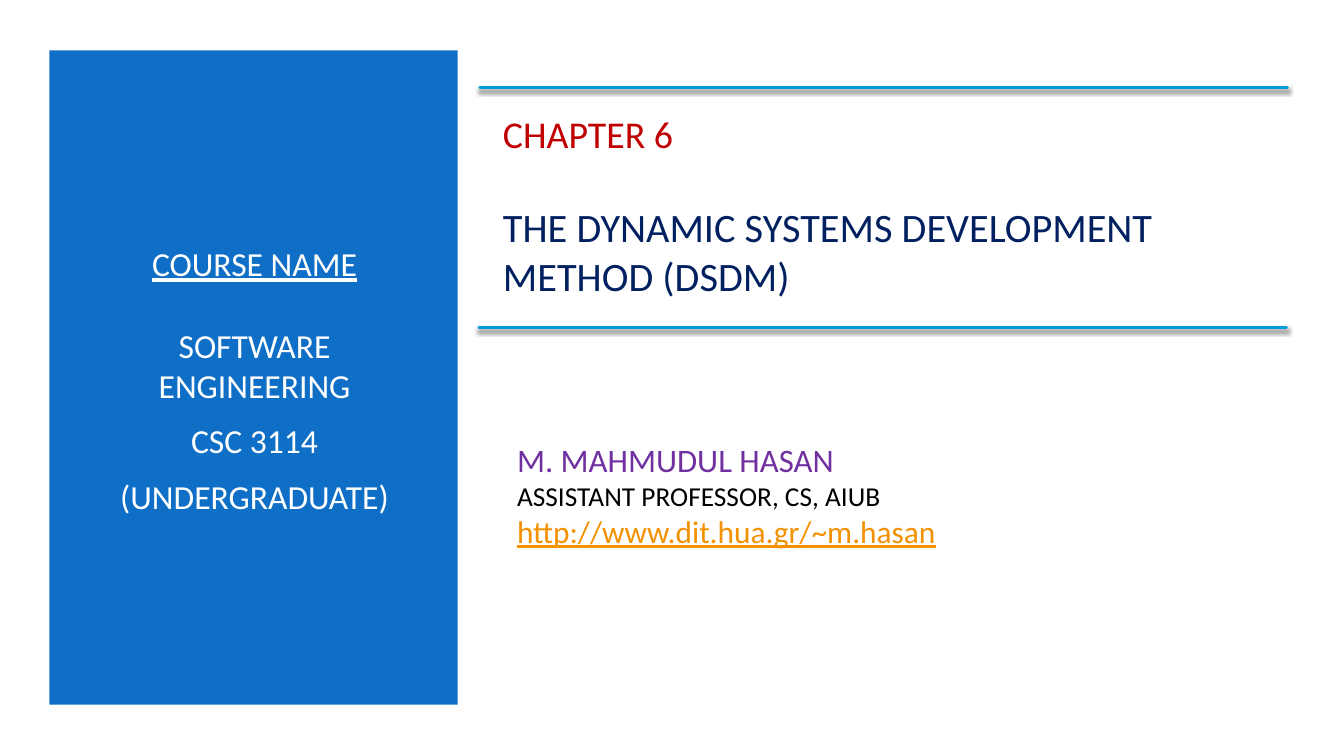
from lxml import etree
from pptx import Presentation
from pptx.dml.color import RGBColor
from pptx.enum.shapes import MSO_CONNECTOR as CONN, MSO_SHAPE as SHAPE
from pptx.enum.text import MSO_ANCHOR as ANCHOR, PP_ALIGN as ALIGN
from pptx.oxml.ns import qn
from pptx.util import Inches, Pt

COLORS = {
    "panel": "0F6FC6", "white": "FFFFFF", "red": "C00000", "navy": "002060",
    "purple": "7030A0", "black": "000000", "orange": "F49100", "rule": "009DD9",
}
FONT = "Calibri"
PANEL = (0.49, 0.5, 4.05, 6.49)
RULES = [(4.76, 0.87), (4.75, 3.25)]
RULE_LENGTH = 8.01

# text, size, color, underline, space before, space after
COURSE = [
    ("COURSE NAME", 24, "white", True, 0, 0),
    ("SOFTWARE ENGINEERING", 24, "white", False, 29.3, 6),
    ("CSC 3114", 24, "white", False, 4.8, 6),
    ("(UNDERGRADUATE)", 24, "white", False, 4.8, 6),
]
CHAPTER = [
    ("CHAPTER 6", 27, "red", False, 0, 0),
    ("THE DYNAMIC SYSTEMS DEVELOPMENT METHOD (DSDM)", 28.8, "navy", False, 33, 0),
]
AUTHOR = [
    ("M. MAHMUDUL HASAN", 23.4, "purple", False, 0, 0),
    ("ASSISTANT PROFESSOR, CS, AIUB", 19.5, "black", False, 0, 0),
    ("http://www.dit.hua.gr/~m.hasan", 22.4, "orange", True, 0, 0),
]
BOXES = [
    ((0.84, 1.14, 3.37, 5.25), ALIGN.CENTER, COURSE),
    ((4.89, 1.1, 7.85, 1.87), ALIGN.LEFT, CHAPTER),
    ((5.03, 4.13, 6.66, 1.56), ALIGN.LEFT, AUTHOR),
]


def rgb(name):
    return RGBColor.from_string(COLORS[name])


def add_text(s, box, align, lines):
    tf = s.shapes.add_textbox(*map(Inches, box)).text_frame
    tf.word_wrap = True
    tf.vertical_anchor = ANCHOR.MIDDLE
    for i, (text, size, color, underline, before, after) in enumerate(lines):
        p = tf.add_paragraph() if i else tf.paragraphs[0]
        p.text = text
        p.alignment = align
        p.space_before, p.space_after = Pt(before), Pt(after)
        font = p.runs[0].font
        font.name, font.size, font.underline = FONT, Pt(size), underline
        font.color.rgb = rgb(color)


def add_rule(s, x, y):
    rule = s.shapes.add_connector(
        CONN.STRAIGHT, Inches(x), Inches(y), Inches(x + RULE_LENGTH), Inches(y))
    rule.line.color.rgb = rgb("rule")
    rule.line.width = Pt(2)
    rule.line._get_or_add_ln().set("cap", "rnd")
    effects = etree.SubElement(rule._element.spPr, qn("a:effectLst"))
    shadow = etree.SubElement(
        effects, qn("a:outerShdw"), blurRad=str(Pt(3)), dist=str(Pt(2)),
        dir="5400000", rotWithShape="0")
    tint = etree.SubElement(shadow, qn("a:srgbClr"), val=COLORS["black"])
    etree.SubElement(tint, qn("a:alpha"), val="55000")


def main():
    prs = Presentation()
    prs.slide_width, prs.slide_height = Inches(13.33), Inches(7.5)
    s = prs.slides.add_slide(prs.slide_layouts[6])
    panel = s.shapes.add_shape(SHAPE.RECTANGLE, *map(Inches, PANEL))
    panel.shadow.inherit = False
    panel.fill.solid()
    panel.fill.fore_color.rgb = rgb("panel")
    panel.line.fill.background()
    for box, align, lines in BOXES:
        add_text(s, box, align, lines)
    for x, y in RULES:
        add_rule(s, x, y)
    prs.save("out.pptx")


if __name__ == "__main__":
    main()
